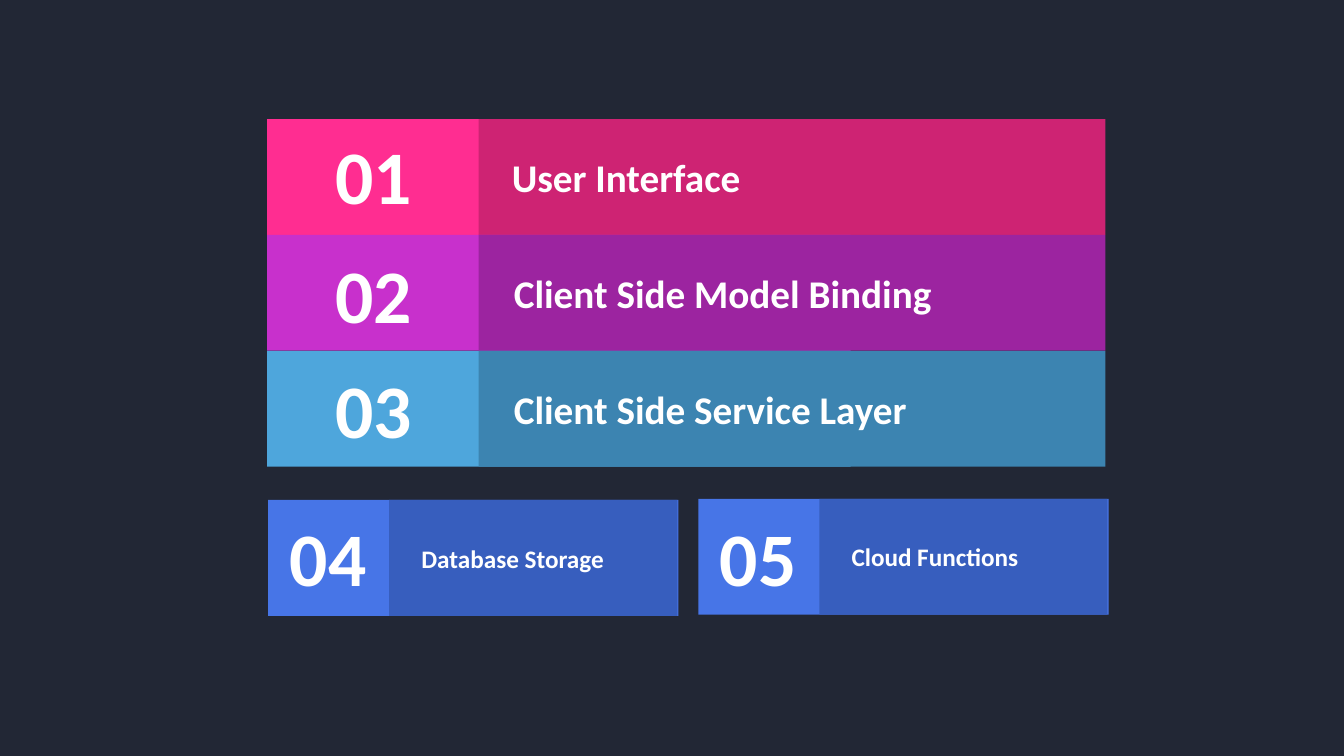
from pptx import Presentation
from pptx.dml.color import RGBColor
from pptx.enum.shapes import MSO_SHAPE
from pptx.enum.text import MSO_ANCHOR, MSO_AUTO_SIZE, PP_ALIGN
from pptx.util import Cm, Pt

# Content: number, label, colour, left, top, label width, label indent, number shift
HIGH = 2.92
TOP = 3.0
LAYERS = [
    ("01", "User Interface", "pink", 6.73, TOP, 5.84, 0.84, -0.08),
    ("02", "Client Side Model Binding", "purple", 6.73, TOP + HIGH, 10.64, 0.89, 0),
    ("03", "Client Side Service Layer", "sky", 6.73, TOP + 2 * HIGH, 10.03, 0.89, 0),
]
STORES = [
    ("04", "Database Storage", "blue", 6.76, 12.6, 4.65, 0.81, -0.03),
    ("05", "Cloud Functions", "blue", 17.6, 12.57, 4.24, 0.81, 0),
]

# Colours: light base and dark panel
COLORS = {
    "back": "222735", "text": "FFFFFF",
    "pink": "FF2D91", "pink dark": "CE2373",
    "purple": "C830CC", "purple dark": "9C24A0",
    "sky": "4EA6DC", "sky dark": "3C84B1",
    "blue": "4775E7", "blue dark": "375EBE",
}

# Sizes of the two kinds of bar
WIDE = {"base": 14.71, "start": 5.33, "panel": 15.8, "digit": 1.7, "size": 28, "line": 1.19}
SMALL = {"base": 10.34, "start": 3.05, "panel": 7.26, "digit": 0.53, "size": 18, "line": 0.76}
DIGIT = {"wide": 1.96, "high": 2.31, "size": 54}

FRAME = {
    "margin_left": 0, "margin_right": 0, "margin_top": 0, "margin_bottom": 0,
    "word_wrap": False, "auto_size": MSO_AUTO_SIZE.SHAPE_TO_FIT_TEXT,
    "vertical_anchor": MSO_ANCHOR.MIDDLE,
}
FONT = {"name": "Calibri", "bold": True}


def paint(fill, key):
    fill.solid()
    fill.fore_color.rgb = RGBColor.from_string(COLORS[key])


def block(slide, left, top, width, key):
    shape = slide.shapes.add_shape(
        MSO_SHAPE.RECTANGLE, Cm(left), Cm(top), Cm(width), Cm(HIGH))
    shape.shadow.inherit = False
    shape.line.fill.background()
    paint(shape.fill, key)


def write(slide, text, left, middle, width, height, size, align):
    box = slide.shapes.add_textbox(
        Cm(left), Cm(middle - height / 2), Cm(width), Cm(height))
    frame = box.text_frame
    for name, value in FRAME.items():
        setattr(frame, name, value)
    line = frame.paragraphs[0]
    line.alignment = align
    run = line.add_run()
    run.text = text
    for name, value in {**FONT, "size": Pt(size)}.items():
        setattr(run.font, name, value)
    run.font.color.rgb = RGBColor.from_string(COLORS["text"])


def main():
    deck = Presentation()
    deck.slide_width, deck.slide_height = Cm(33.87), Cm(19.05)
    slide = deck.slides.add_slide(deck.slide_layouts[6])
    paint(slide.background.fill, "back")

    # Three full bars, then two half bars
    for rows, kind in ((LAYERS, WIDE), (STORES, SMALL)):
        for number, label, color, left, top, width, indent, shift in rows:
            start = left + kind["start"]
            middle = top + HIGH / 2
            block(slide, left, top, kind["base"], color)
            block(slide, start, top, kind["panel"], color + " dark")
            write(slide, number, left + kind["digit"], middle + shift,
                  DIGIT["wide"], DIGIT["high"], DIGIT["size"], PP_ALIGN.CENTER)
            write(slide, label, start + indent, middle,
                  width, kind["line"], kind["size"], PP_ALIGN.LEFT)

    deck.save("out.pptx")


if __name__ == "__main__":
    main()
